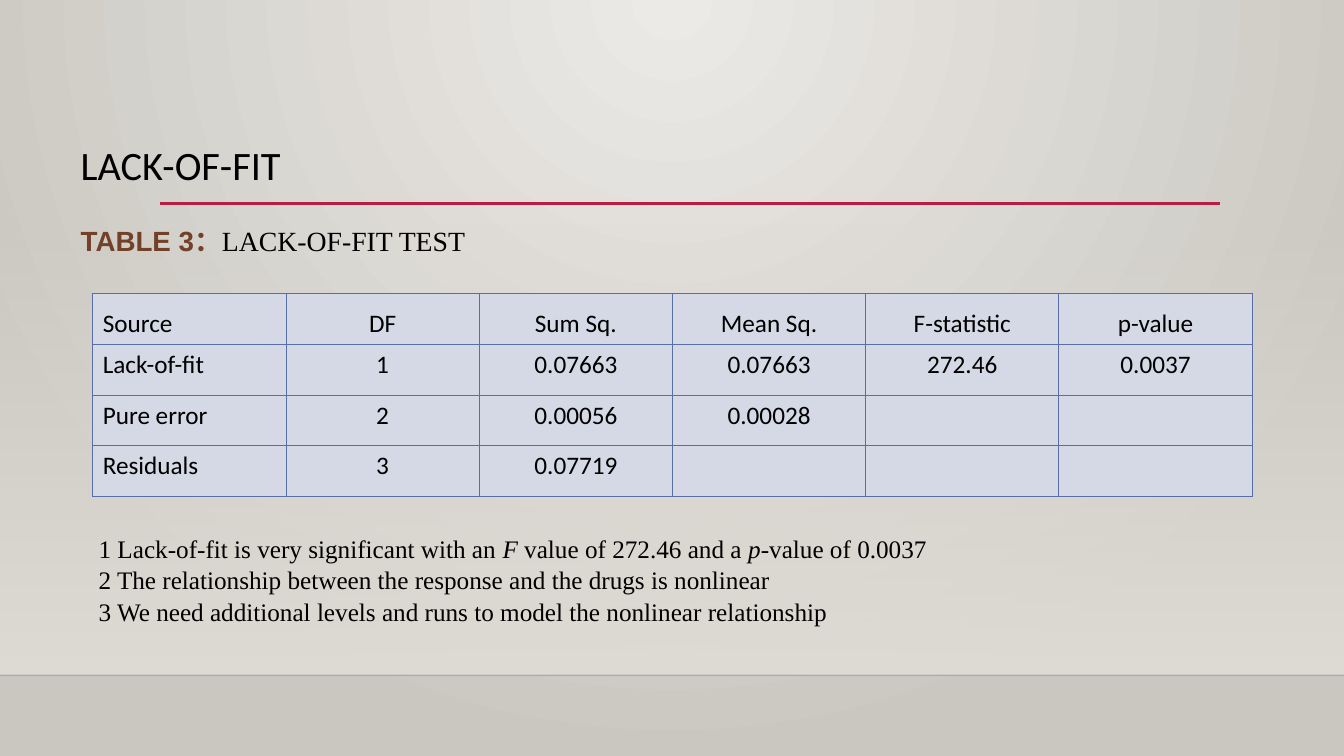
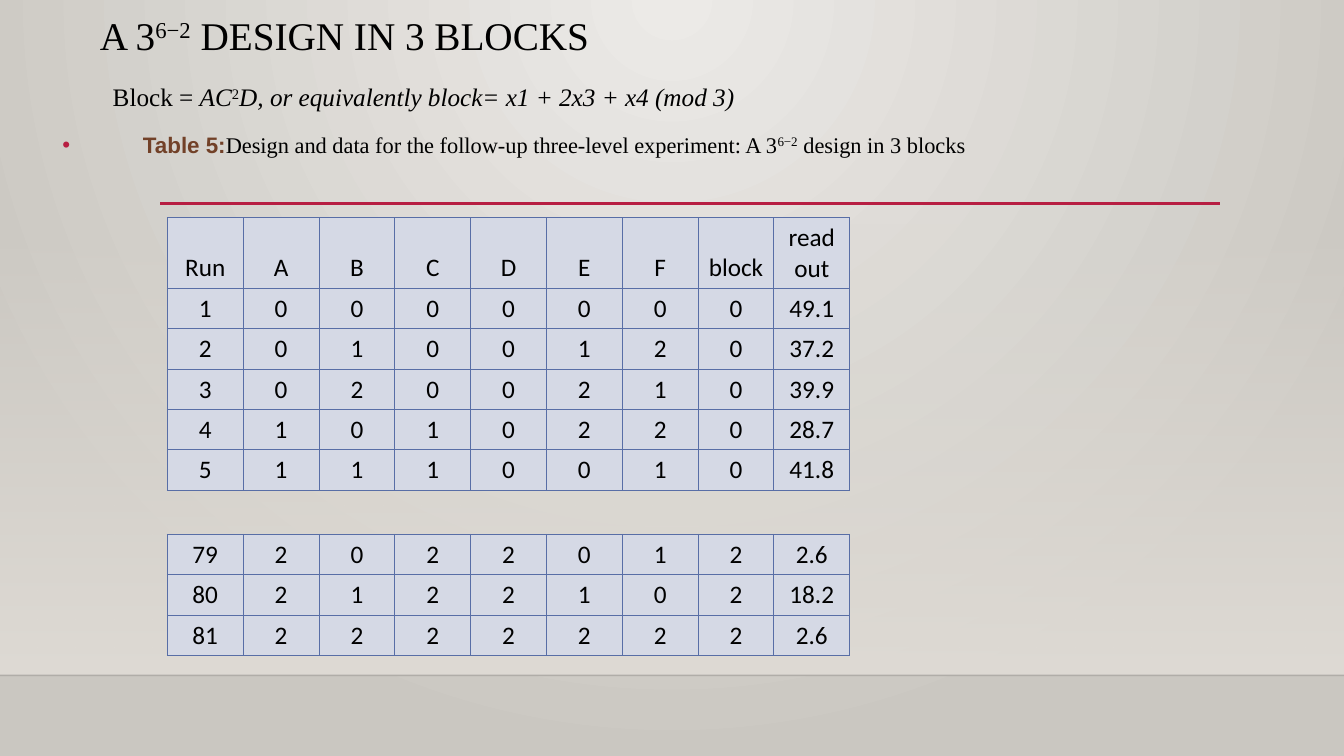
"""Build two slides on a lack-of-fit test and a blocked design."""
from lxml.etree import SubElement
from pptx import Presentation
from pptx.dml.color import RGBColor
from pptx.enum.shapes import MSO_CONNECTOR, MSO_SHAPE
from pptx.enum.text import MSO_ANCHOR, MSO_AUTO_SIZE, PP_ALIGN
from pptx.oxml.ns import qn
from pptx.util import Inches, Pt

BLACK = RGBColor(0x00, 0x00, 0x00)
BROWN = RGBColor(0x72, 0x41, 0x28)
RED = RGBColor(0xB7, 0x1E, 0x42)
LIGHT = RGBColor(0xEC, 0xEA, 0xE7)
GRAY = RGBColor(0xCA, 0xC7, 0xC1)
SAND = RGBColor(0xDF, 0xDB, 0xD5)
CELL = RGBColor(0xD5, 0xD9, 0xE5)
EDGE = RGBColor(0x58, 0x6E, 0xA6)
SERIF = "Times New Roman"
SANS = "Calibri"


def write(para, size, *parts):
    """Add runs given as text, style, face and colour."""
    for text, style, face, color in parts:
        run = para.add_run()
        run.text = text
        font = run.font
        font.size, font.name = Pt(size), face
        font.color.rgb = color
        font.bold, font.italic = style == "bold", style == "italic"
        if style == "super":
            run._r.get_or_add_rPr().set("baseline", "30000")


def grid(slide, rows, left, top, width, height, first, head):
    """Add a bordered table; first aligns the first column."""
    frame = slide.shapes.add_table(len(rows), len(rows[0]), Inches(left),
                                   Inches(top), Inches(width), Inches(height))
    table = frame.table
    table.first_row = table.horz_banding = False
    for r, row in enumerate(rows):
        for c, text in enumerate(row):
            cell = table.cell(r, c)
            cell.fill.solid()
            cell.fill.fore_color.rgb = CELL
            if head and r == 0:
                cell.vertical_anchor = MSO_ANCHOR.BOTTOM
            cell.text_frame.text = text
            para = cell.text_frame.paragraphs[0]
            para.alignment = first if c == 0 else PP_ALIGN.CENTER
            para.font.size, para.font.name = Pt(18), SANS
            para.font.color.rgb = BLACK
            props = cell._tc.get_or_add_tcPr()
            for i, side in enumerate(("a:lnL", "a:lnR", "a:lnT", "a:lnB")):
                line = SubElement(props, qn(side), w=str(Pt(0.75)))
                fill = SubElement(line, qn("a:solidFill"))
                SubElement(fill, qn("a:srgbClr"), val=str(EDGE))
                props.insert(i, line)
    return table


deck = Presentation()
deck.slide_width, deck.slide_height = Inches(13.33), Inches(7.5)
layout = deck.slide_layouts[5]
fit = deck.slides.add_slide(layout)
block = deck.slides.add_slide(layout)

back = layout.background.fill
back.gradient()
for stop, color in zip(back.gradient_stops, (LIGHT, GRAY)):
    stop.color.rgb = color
lin = layout.element.find(".//" + qn("a:lin"))
round_path = SubElement(lin.getparent(), qn("a:path"), path="circle")
SubElement(round_path, qn("a:fillToRect"), l="43000", t="0", r="43000", b="100000")
lin.getparent().replace(lin, round_path)

band = fit.shapes.add_shape(MSO_SHAPE.RECTANGLE, 0, Inches(2.21),
                            Inches(13.33), Inches(4.49))
band.shadow.inherit = False
band.line.fill.background()
band.fill.gradient()
band.fill.gradient_angle = 270
for stop in band.fill.gradient_stops:
    stop.color.rgb = SAND
SubElement(band.element.find(".//" + qn("a:srgbClr")), qn("a:alpha"), val="0")
decor = [band]
for left, right, y, color, width in ((0, 13.33, 6.7, BLACK, 1),
                                     (1.59, 12.1, 2.02, RED, 2.5)):
    rule = fit.shapes.add_connector(MSO_CONNECTOR.STRAIGHT, Inches(left),
                                    Inches(y), Inches(right), Inches(y))
    rule.line.color.rgb, rule.line.width = color, Pt(width)
    if color == BLACK:
        SubElement(rule.element.find(".//" + qn("a:srgbClr")),
                   qn("a:alpha"), val="20000")
    SubElement(rule.element.spPr, qn("a:effectLst"))
    decor.append(rule)
for i, shape in enumerate(decor):
    layout.shapes.element.insert(2 + i, shape.element)

for slide, left, top, width, height in ((fit, 0.7, 1.39, 11.5, 1.3),
                                        (block, 0.89, 0.11, 10.5, 0.6)):
    title = slide.shapes.title
    title.left, title.top = Inches(left), Inches(top)
    title.width, title.height = Inches(width), Inches(height)
    body = title.text_frame
    body.vertical_anchor = MSO_ANCHOR.TOP
    body.auto_size = MSO_AUTO_SIZE.NONE
    para = body.paragraphs[0]
    para.alignment, para.line_spacing = PP_ALIGN.LEFT, 0.9

body = fit.shapes.title.text_frame
write(body.paragraphs[0], 28.8, ("LACK-OF-FIT", "", SANS, BLACK))
para = body.add_paragraph()
para.alignment, para.line_spacing = PP_ALIGN.LEFT, 0.9
para.space_before = Pt(28)
write(para, 19.8, ("TABLE 3：", "bold", "Arial", BROWN),
      ("LACK-OF-FIT TEST", "", SERIF, BLACK))

tests = [
    ("Source", "DF", "Sum Sq.", "Mean Sq.", "F-statistic", "p-value"),
    ("Lack-of-fit", "1", "0.07663", "0.07663", "272.46", "0.0037"),
    ("Pure error", "2", "0.00056", "0.00028", "", ""),
    ("Residuals", "3", "0.07719", "", "", ""),
]
grid(fit, tests, 0.92, 2.91, 11.5, 2.02, PP_ALIGN.LEFT, True)

notes = [
    [("1 Lack-of-fit is very significant with an ", ""), ("F", "italic"),
     (" value of 272.46 and a ", ""), ("p-", "italic"),
     ("value of 0.0037", "")],
    [("2 The relationship between the response and the drugs is nonlinear", "")],
    [("3 We need additional levels and runs to model the nonlinear relationship", "")],
]
box = fit.shapes.add_textbox(Inches(0.88), Inches(5.24), Inches(9), Inches(1.05))
body = box.text_frame
body.word_wrap = True
for i, note in enumerate(notes):
    para = body.add_paragraph() if i else body.paragraphs[0]
    if i:
        para.space_before = Pt(1)
    write(para, 18, *[(text, style, SERIF, BLACK) for text, style in note])

write(block.shapes.title.text_frame.paragraphs[0], 28,
      ("A 3", "", SERIF, BLACK), ("6−2", "super", SERIF, BLACK),
      (" DESIGN IN 3 BLOCKS", "", SERIF, BLACK))

box = block.shapes.add_textbox(Inches(0.52), Inches(0.7), Inches(11.5), Inches(1.1))
body = box.text_frame
body.word_wrap = True
para = body.paragraphs[0]
para.line_spacing = 1.2
para._p.get_or_add_pPr().set("marL", str(Inches(0.5)))
write(para, 18, ("Block = ", "", SERIF, BLACK), ("AC", "italic", SERIF, BLACK),
      ("2", "super", SERIF, BLACK),
      ("D, or equivalently block= x1 + 2x3 + x4 (mod 3)", "italic", SERIF, BLACK))
para = body.add_paragraph()
para.line_spacing, para.space_before = 1.2, Pt(10)
props = para._p.get_or_add_pPr()
props.set("marL", str(Inches(0.8)))
props.set("indent", str(Inches(-0.8)))
SubElement(SubElement(props, qn("a:buClr")), qn("a:srgbClr"), val=str(RED))
SubElement(props, qn("a:buFont"), typeface="Arial")
SubElement(props, qn("a:buChar"), char="•")
write(para, 16, ("Table 5:", "bold", "Arial", BROWN),
      ("Design and data for the follow-up three-level experiment: A 3", "", SERIF, BLACK),
      ("6−2", "super", SERIF, BLACK), (" design in 3 blocks", "", SERIF, BLACK))

runs = [
    ("Run", "A", "B", "C", "D", "E", "F", "block", "readout"),
    ("1", "0", "0", "0", "0", "0", "0", "0", "49.1"),
    ("2", "0", "1", "0", "0", "1", "2", "0", "37.2"),
    ("3", "0", "2", "0", "0", "2", "1", "0", "39.9"),
    ("4", "1", "0", "1", "0", "2", "2", "0", "28.7"),
    ("5", "1", "1", "1", "0", "0", "1", "0", "41.8"),
]
last = [
    ("79", "2", "0", "2", "2", "0", "1", "2", "2.6"),
    ("80", "2", "1", "2", "2", "1", "0", "2", "18.2"),
    ("81", "2", "2", "2", "2", "2", "2", "2", "2.6"),
]
table = grid(block, runs, 1.66, 2.16, 6.77, 2.4, PP_ALIGN.CENTER, True)
table.rows[0].height = Inches(0.7)
grid(block, last, 1.66, 5.3, 6.77, 1.2, PP_ALIGN.CENTER, False)

deck.save("out.pptx")
